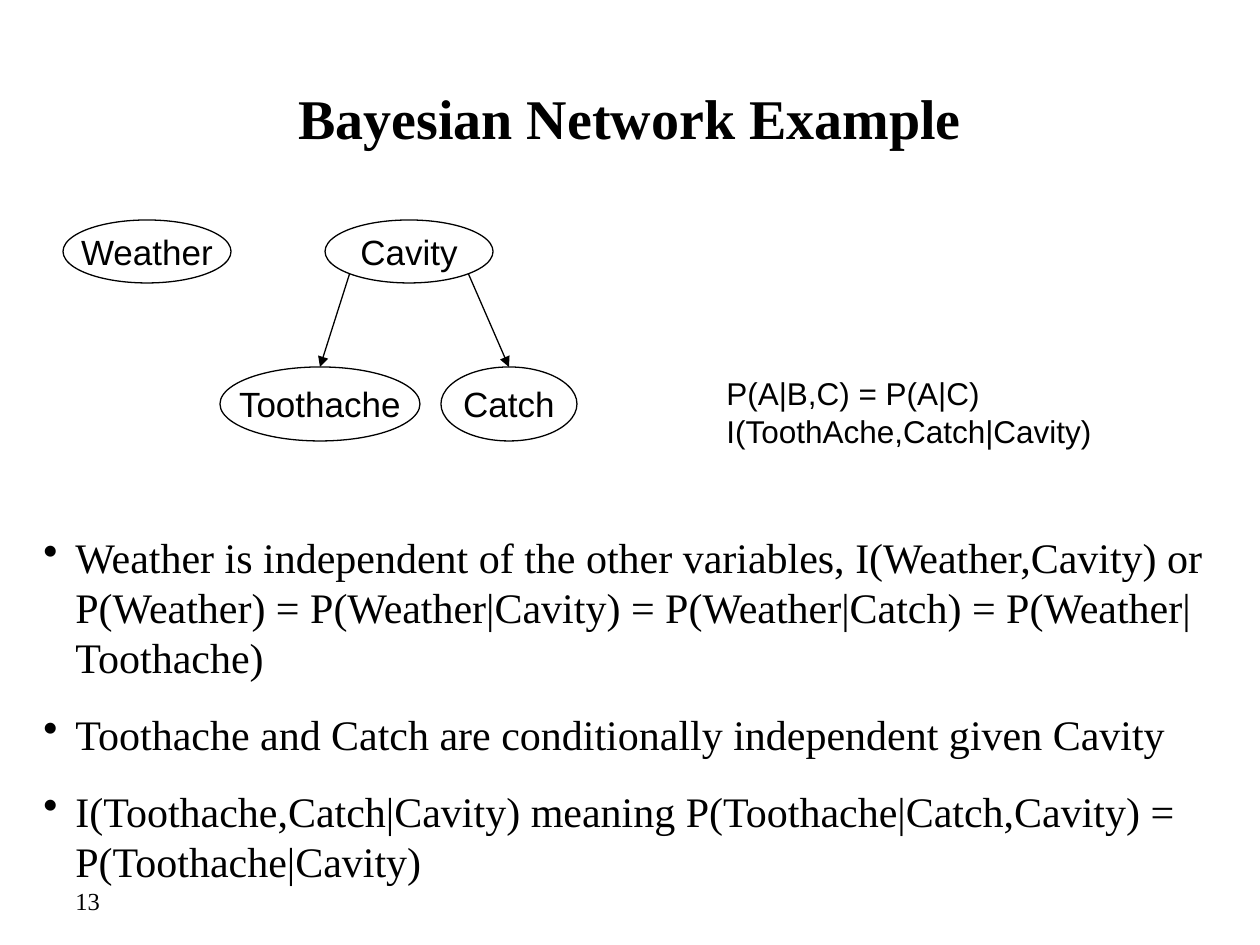
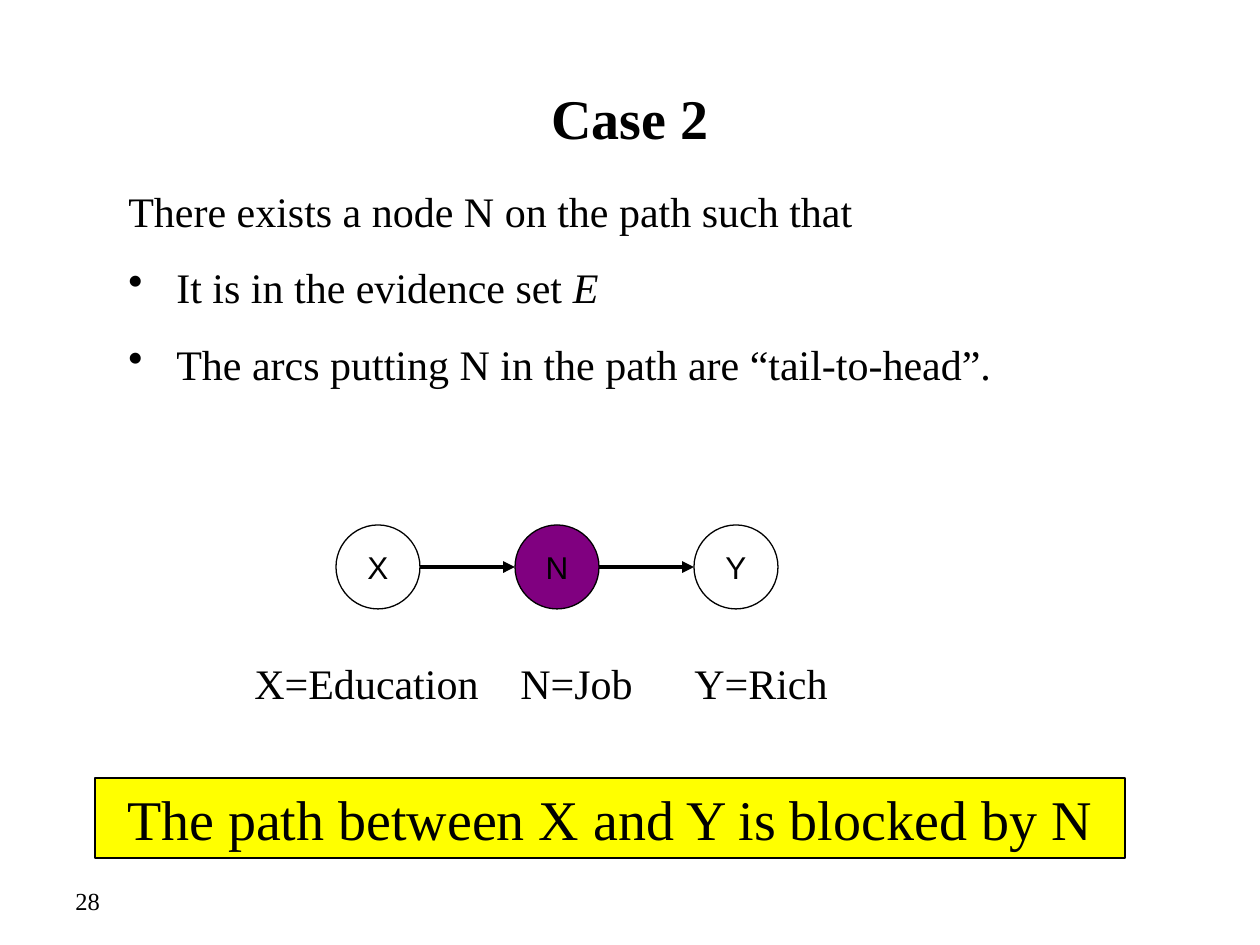
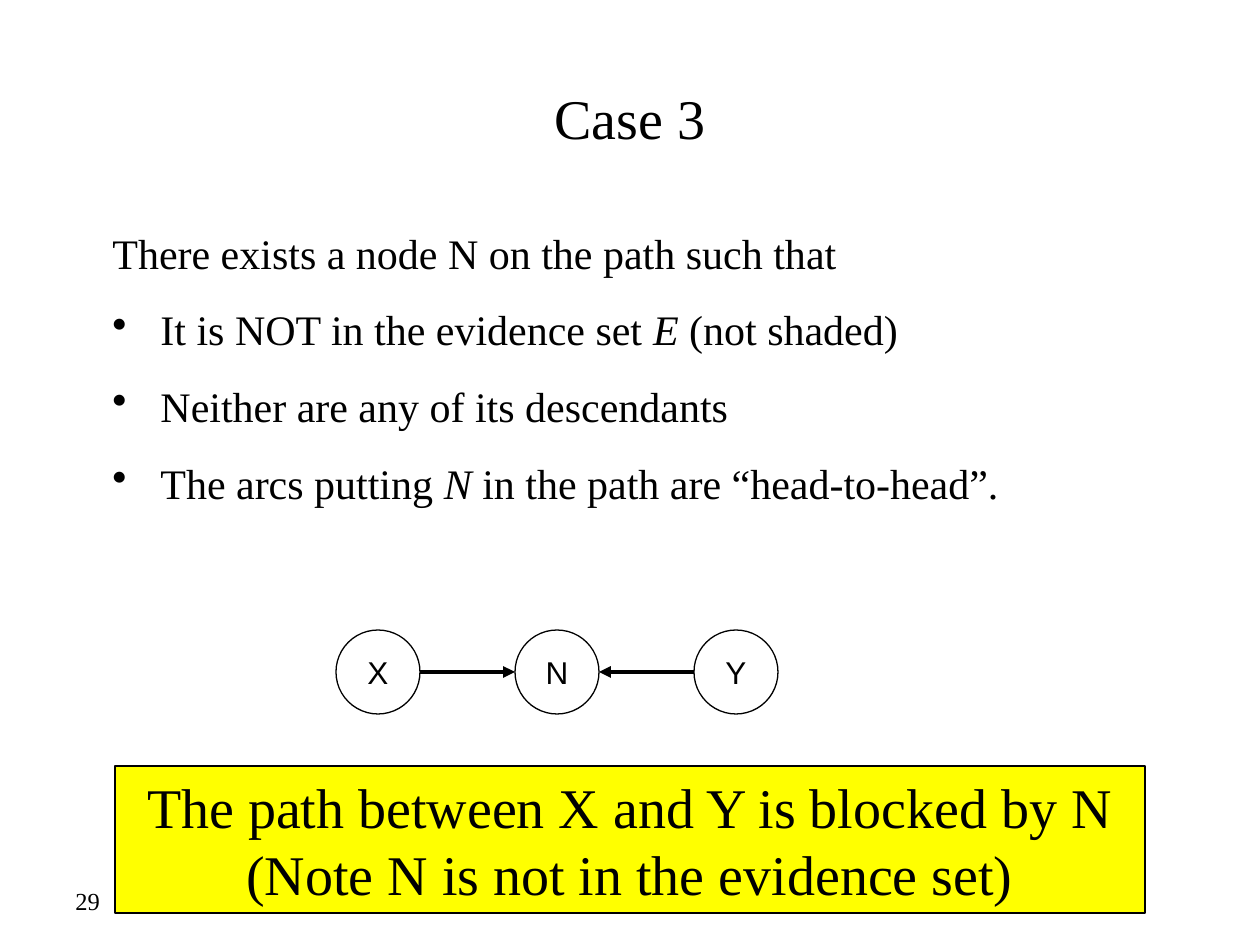
import math
from dataclasses import dataclass

from pptx import Presentation, util as u
from pptx.dml.color import RGBColor
from pptx.enum import shapes, text
from pptx.oxml.ns import qn
from lxml import etree

PX = 914400 / 126


@dataclass(frozen=True)
class Theme:
    ink: str = "000000"
    evidence: str = "800080"
    banner: str = "FFFF00"
    serif: str = "Times New Roman"
    sans: str = "Arial"
    title: int = 32
    body: int = 24
    node: int = 20
    note: int = 18
    number: int = 14
    body_gap: int = 15
    outline: float = 0.75
    arrow: float = 2.25


THEME = Theme()
TITLE_BOX = (63, 38, 1134, 158)
NUMBER_BOX = (63, 876, 294, 50)
CHAIN_LEFT, CHAIN_STEP, CHAIN_SIZE = 336, 179, 84

# Text between asterisks is italic. Edges are (from, angle, to, angle),
# with angles in degrees clockwise from the right-hand side.
SLIDES = [
    dict(
        number="13", title="Bayesian Network Example", bold=True,
        nodes={
            "Cavity": (325, 220, 168, 63),
            "Toothache": (220, 367, 200, 74),
            "Catch": (441, 367, 136, 74),
            "Weather": (63, 220, 168, 63),
        },
        edges=[("Cavity", 135, "Toothache", 270), ("Cavity", 45, "Catch", 270)],
        body_box=(31, 525, 1188, 368), hang=32,
        bullets=[
            "Weather is independent of the other variables, I(Weather,Cavity) or "
            "P(Weather) = P(Weather|Cavity) = P(Weather|Catch) = P(Weather|Toothache)",
            "Toothache and Catch are conditionally independent given Cavity",
            "I(Toothache,Catch|Cavity) meaning P(Toothache|Catch,Cavity) = "
            "P(Toothache|Cavity)",
        ],
        note=((714, 368, 630, 88), ["P(A|B,C) = P(A|C)", "I(ToothAche,Catch|Cavity)"]),
    ),
    dict(
        number="28", title="Case 2", bold=True,
        body_box=(116, 179, 1008, 217), hang=48,
        lead="There exists a node N on the path such that",
        bullets=["It is in the evidence set *E*",
                 "The arcs putting N in the path are “tail-to-head”."],
        chain="XNY", chain_top=525, shaded="N",
        edges=[("X", 0, "N", 180), ("N", 0, "Y", 180)],
        legend=((242, 651, 693, 63), ["X=Education", "N=Job", "Y=Rich"], (266, 440)),
        banner=((95, 778, 1030, 80), "The path between X and Y is blocked by N"),
    ),
    dict(
        number="29", title="Case 3", bold=False,
        body_box=(100, 221, 1092, 294), hang=48,
        lead="There exists a node N on the path such that",
        bullets=["It is NOT in the evidence set *E* (not shaded)",
                 "Neither are any of its descendants",
                 "The arcs putting *N* in the path are “head-to-head”."],
        chain="XNY", chain_top=630,
        edges=[("X", 0, "N", 180), ("Y", 180, "N", 0)],
        banner=((115, 766, 1030, 147), "The path between X and Y is blocked by N "
                                       "(Note N is not in the evidence set)"),
    ),
]


def emu(*lengths):
    return [round(length * PX) for length in lengths]


def style_font(paragraph, size, face, bold=False):
    for name, value in dict(size=u.Pt(size), name=face, bold=bold).items():
        setattr(paragraph.font, name, value)
    paragraph.font.color.rgb = RGBColor.from_string(THEME.ink)


def add_runs(paragraph, marked):
    for index, piece in enumerate(marked.split("*")):
        if piece:
            run = paragraph.add_run()
            run.text = piece
            if index % 2:
                run.font.italic = True


def write(frame, lines, size, face, bold=False, centred=False, gap=0):
    """Fill a text frame, one paragraph a line, and return the paragraphs."""
    for index, line in enumerate(lines):
        paragraph = frame.add_paragraph() if index else frame.paragraphs[0]
        add_runs(paragraph, line)
        style_font(paragraph, size, face, bold)
        paragraph.alignment = text.PP_ALIGN.CENTER if centred else text.PP_ALIGN.LEFT
        if index and gap:
            paragraph.space_before = u.Pt(gap)
    return frame.paragraphs


def add_text(slide, box, lines, size, face=THEME.serif, middle=False, **options):
    frame = slide.shapes.add_textbox(*emu(*box)).text_frame
    frame.word_wrap = True
    frame.vertical_anchor = text.MSO_ANCHOR.MIDDLE if middle else text.MSO_ANCHOR.TOP
    return write(frame, lines, size, face, **options)


def add_outlined(slide, kind, box, fill=None):
    shape = slide.shapes.add_shape(kind, *emu(*box))
    shape.shadow.inherit = False
    if fill:
        shape.fill.solid()
        shape.fill.fore_color.rgb = RGBColor.from_string(fill)
    else:
        shape.fill.background()
    shape.line.color.rgb = RGBColor.from_string(THEME.ink)
    shape.line.width = u.Pt(THEME.outline)
    return shape.text_frame


def add_node(slide, label, box, size, fill=None):
    frame = add_outlined(slide, shapes.MSO_SHAPE.OVAL, box, fill)
    frame.word_wrap = False
    frame.vertical_anchor = text.MSO_ANCHOR.MIDDLE
    write(frame, [label], size, THEME.sans, centred=True)


def rim(box, degrees):
    """Point on the ellipse inside a box."""
    left, top, width, height = box
    angle = math.radians(degrees)
    return (left + width / 2 * (1 + math.cos(angle)),
            top + height / 2 * (1 + math.sin(angle)))


def add_arrow(slide, start, end, width):
    arrow = slide.shapes.add_connector(shapes.MSO_CONNECTOR.STRAIGHT, *emu(*start, *end))
    arrow.line.color.rgb = RGBColor.from_string(THEME.ink)
    arrow.line.width = u.Pt(width)
    properties = arrow._element.spPr
    etree.SubElement(properties.get_or_add_ln(), qn("a:tailEnd"), type="triangle")
    etree.SubElement(properties, qn("a:effectLst"))


def hang_bullet(paragraph, hang, bulleted):
    properties = paragraph._p.get_or_add_pPr()
    indent, = emu(hang)
    properties.set("marL", str(indent))
    properties.set("indent", str(-indent))
    if bulleted:
        bullet = etree.Element(qn("a:buChar"), char="•")
        spacing = properties.find(qn("a:spcBef"))
        properties.insert(0 if spacing is None else 1, bullet)


def add_body(slide, content):
    lead = [content["lead"]] if "lead" in content else []
    paragraphs = add_text(slide, content["body_box"], lead + content["bullets"],
                          THEME.body, gap=THEME.body_gap)
    for index, paragraph in enumerate(paragraphs):
        hang_bullet(paragraph, content["hang"], index >= len(lead))


def add_legend(slide, box, entries, stops):
    paragraph, = add_text(slide, box, ["\t".join(entries)], THEME.body)
    tabs = etree.Element(qn("a:tabLst"))
    for stop in emu(*stops):
        etree.SubElement(tabs, qn("a:tab"), pos=str(stop), algn="l")
    paragraph._p.get_or_add_pPr().insert(0, tabs)


def add_network(slide, content):
    chain = content.get("chain")
    if chain:
        nodes = {label: (CHAIN_LEFT + CHAIN_STEP * index, content["chain_top"],
                         CHAIN_SIZE, CHAIN_SIZE) for index, label in enumerate(chain)}
    else:
        nodes = content["nodes"]
    for label, box in nodes.items():
        fill = THEME.evidence if label == content.get("shaded") else None
        add_node(slide, label, box, THEME.note if chain else THEME.node, fill)
    for source, leaving, target, entering in content["edges"]:
        add_arrow(slide, rim(nodes[source], leaving), rim(nodes[target], entering),
                  THEME.arrow if chain else THEME.outline)


def add_banner(slide, box, message):
    frame = add_outlined(slide, shapes.MSO_SHAPE.RECTANGLE, box, THEME.banner)
    frame.word_wrap = True
    frame.vertical_anchor = text.MSO_ANCHOR.TOP
    write(frame, [message], THEME.title, THEME.serif, centred=True)


def build_slide(deck, content):
    slide = deck.slides.add_slide(deck.slide_layouts[6])
    add_text(slide, NUMBER_BOX, [content["number"]], THEME.number, middle=True)
    add_text(slide, TITLE_BOX, [content["title"]], THEME.title, middle=True,
             bold=content["bold"], centred=True)
    add_body(slide, content)
    add_network(slide, content)
    if "note" in content:
        add_text(slide, *content["note"], THEME.note, THEME.sans)
    if "legend" in content:
        add_legend(slide, *content["legend"])
    if "banner" in content:
        add_banner(slide, *content["banner"])


def main():
    deck = Presentation()
    deck.slide_width, deck.slide_height = emu(1260, 945)
    for content in SLIDES:
        build_slide(deck, content)
    deck.save("out.pptx")


if __name__ == "__main__":
    main()
